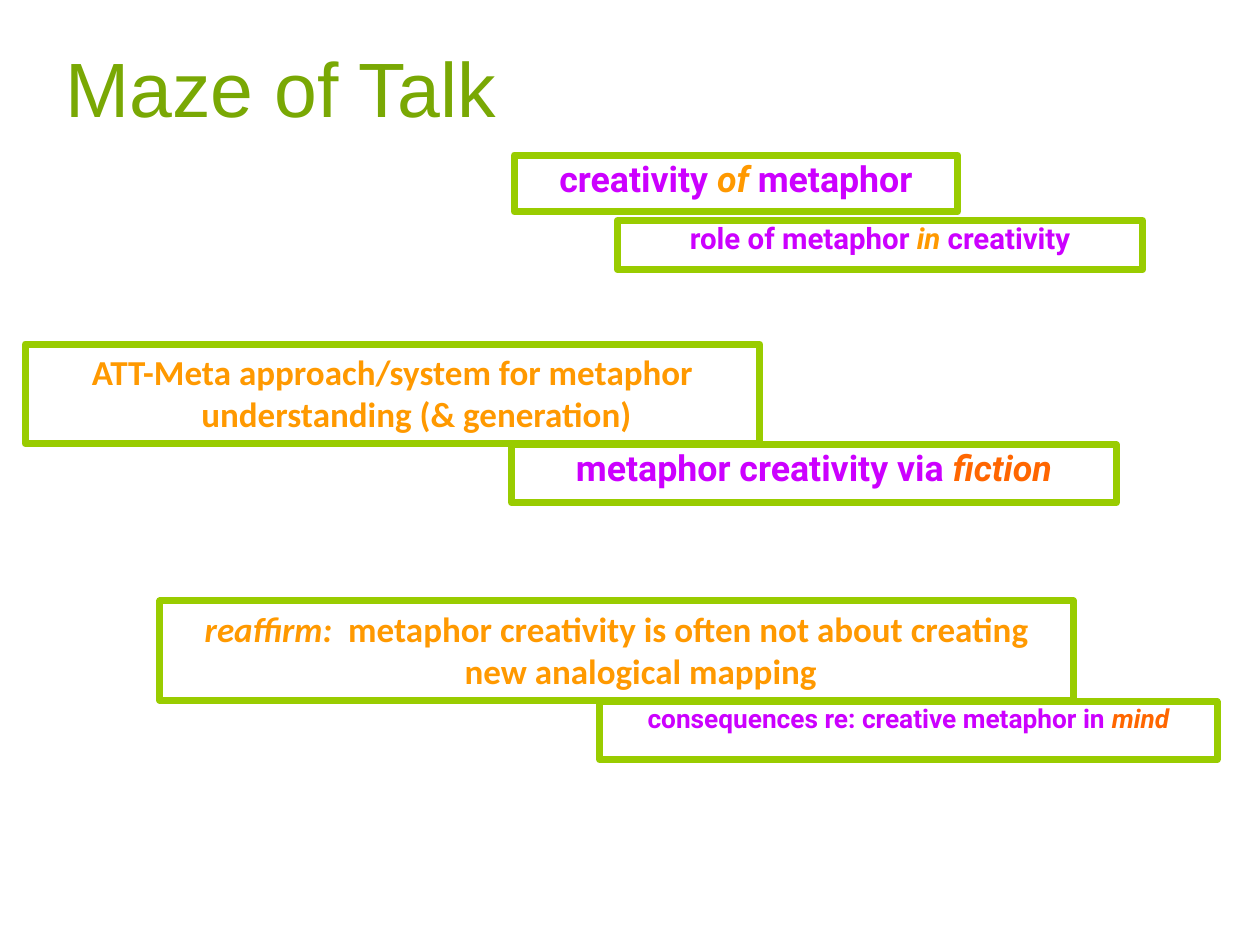
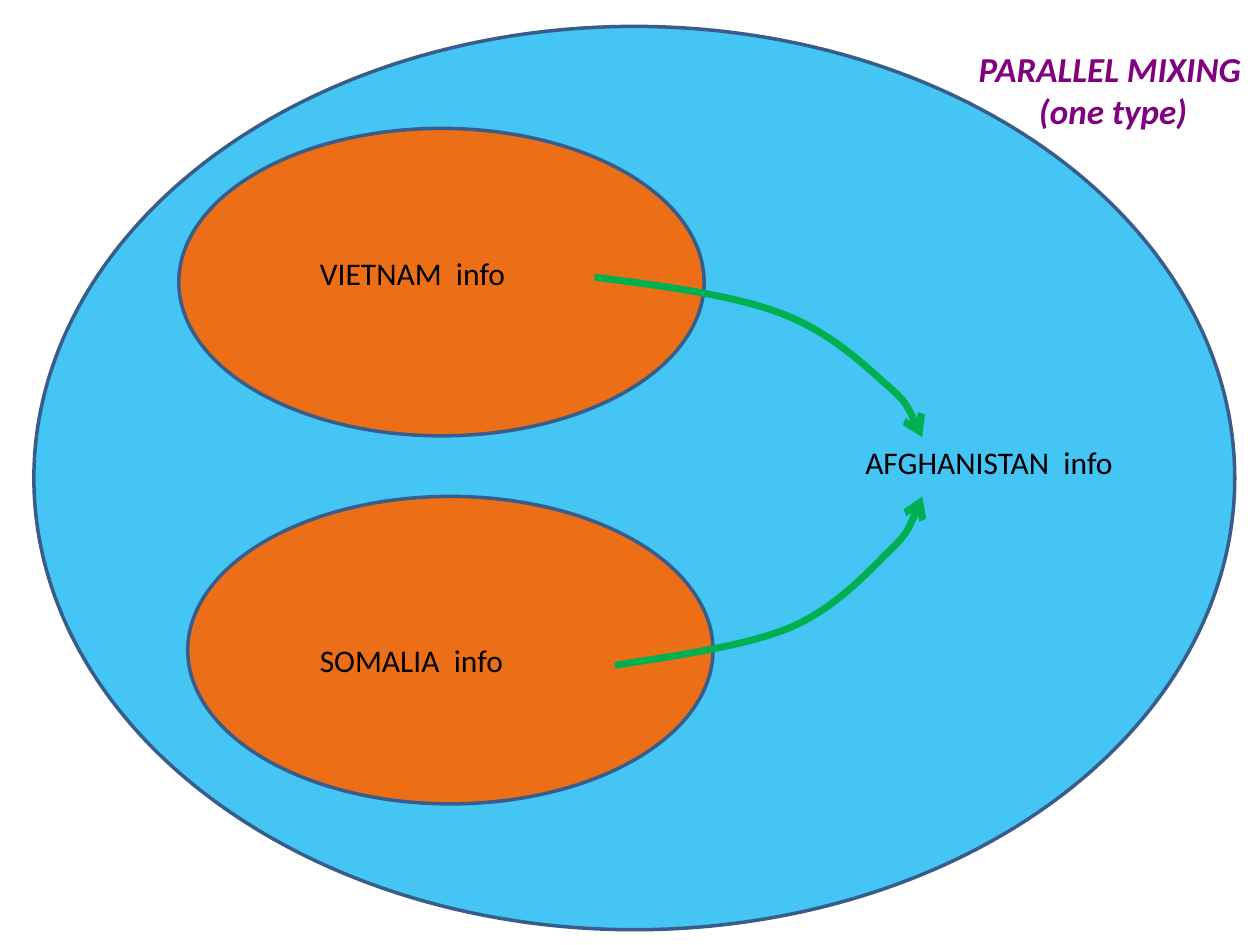
import pptx
import pptx.util
import pptx.dml.color
import pptx.enum.shapes
import pptx.enum.text
import pptx.oxml.ns
import pptx.oxml.xmlchemy
from dataclasses import dataclass

Pt = pptx.util.Pt
qn = pptx.oxml.ns.qn
new_element = pptx.oxml.xmlchemy.OxmlElement
SHAPES = pptx.enum.shapes.MSO_SHAPE
ALIGN = pptx.enum.text.PP_ALIGN
ANCHOR = pptx.enum.text.MSO_ANCHOR


@dataclass(frozen=True)
class Theme:
    title: str = "79A804"
    frame: str = "99CC00"
    violet: str = "CC00FF"
    amber: str = "FF9900"
    orange: str = "FF6600"
    sky: str = "00B0F0"
    outline: str = "385D8A"
    arrow: str = "00B050"
    purple: str = "800080"
    black: str = "000000"
    heading_font: str = "Arial"
    body_font: str = "Calibri"
    topic_font: str = "Roboto"
    title_size: float = 44
    large: float = 20.4
    statement: float = 20
    label: float = 18
    medium: float = 16.8
    small: float = 15
    thick: float = 4
    thin: float = 2
    hanging: float = 27.4


THEME = Theme()

TITLE = ("Maze of Talk", (30.2, 18, 648, 63.4))

TOPIC, STATEMENT = THEME.topic_font, THEME.body_font
MAZE_BOXES = [
    ((293.8, 88.6, 253.4, 32.4), TOPIC, THEME.large, 0.9,
     [("creativity ", THEME.violet, False), ("of ", THEME.amber, True),
      ("metaphor", THEME.violet, False)]),
    ((91.4, 343.4, 522, 56.9), STATEMENT, THEME.statement, 1.0,
     [("reaffirm:", THEME.amber, True),
      ("  metaphor creativity is often not about creating new analogical mapping",
       THEME.amber, False)]),
    ((292.3, 254.2, 345.6, 33.1), TOPIC, THEME.large, 0.9,
     [("metaphor creativity via ", THEME.violet, False),
      ("fiction", THEME.orange, True)]),
    ((352.8, 126, 300.2, 28.1), TOPIC, THEME.medium, 0.8,
     [("role of metaphor ", THEME.violet, False), ("in ", THEME.amber, True),
      ("creativity", THEME.violet, False)]),
    ((14.4, 196.6, 419.8, 56.9), STATEMENT, THEME.statement, 1.0,
     [("ATT-Meta approach/system for metaphor understanding (& generation)",
       THEME.amber, False)]),
    ((342.7, 401, 352.8, 33.1), TOPIC, THEME.small, 0.8,
     [("consequences re: creative metaphor in ", THEME.violet, False),
      ("mind", THEME.orange, True)]),
]

SPACES = [
    ((19.4, 15.1, 686.2, 516.2), THEME.sky, 73),
    ((102.2, 73.4, 300.2, 175.7), THEME.orange, 90),
    ((107.3, 283.7, 300.2, 175.7), THEME.orange, 90),
]
LABELS = [
    ("AFGHANISTAN  info", (487.4, 249.8, 190.1, 28.8)),
    ("VIETNAM  info", (175.7, 141.8, 141.8, 28.8)),
    ("SOMALIA  info", (175.7, 362.9, 141.8, 28.8)),
]
CURVES = [
    [(339.8, 158.4), (378.7, 163.4), (417.6, 168.5), (445, 178.6), (472.3, 188.6),
     (491, 205.9), (504.7, 218.2), (518.4, 229.7), (522.7, 239.8), (527, 249.8)],
    [(351.4, 380.2), (388.1, 374.4), (424.1, 369.4), (450, 359.3), (475.9, 348.5),
     (493.2, 329.8), (506.2, 316.8), (519.1, 304.6), (523.4, 293.8), (527, 283.7)],
]
MIXING = (["PARALLEL MIXING", "(one type)"], (552.2, 23.8, 167.8, 55.4))


def points(values):
    return [Pt(value) for value in values]


def rgb(color):
    return pptx.dml.color.RGBColor.from_string(color)


def set_font(font, name, size, color, bold=False, italic=False):
    font.name, font.size = name, Pt(size)
    font.bold, font.italic = bold, italic
    font.color.rgb = rgb(color)


def set_line(shape, color, width):
    shape.shadow.inherit = False
    shape.line.color.rgb = rgb(color)
    shape.line.width = Pt(width)


def add_text(slide, lines, box, name, size, color, **style):
    frame = slide.shapes.add_textbox(*points(box)).text_frame
    frame.word_wrap = True
    frame.text = "\n".join(lines)
    for paragraph in frame.paragraphs:
        set_font(paragraph.font, name, size, color, **style)
    return frame


def add_maze_box(slide, box, name, size, spacing, runs):
    shape = slide.shapes.add_shape(SHAPES.RECTANGLE, *points(box))
    shape.fill.background()
    set_line(shape, THEME.frame, THEME.thick)
    frame = shape.text_frame
    frame.word_wrap = True
    frame.vertical_anchor = ANCHOR.TOP
    paragraph = frame.paragraphs[0]
    paragraph.alignment = ALIGN.CENTER
    paragraph.line_spacing = spacing
    properties = paragraph._p.get_or_add_pPr()
    properties.set("marL", str(Pt(THEME.hanging)))
    properties.set("indent", str(-Pt(THEME.hanging)))
    for text, color, italic in runs:
        run = paragraph.add_run()
        run.text = text
        set_font(run.font, name, size, color, True, italic)


def add_space(slide, box, color, opacity):
    shape = slide.shapes.add_shape(SHAPES.OVAL, *points(box))
    shape.fill.solid()
    shape.fill.fore_color.rgb = rgb(color)
    set_line(shape, THEME.outline, THEME.thin)
    fill_color = shape._element.spPr.find(qn("a:solidFill"))[0]
    alpha = new_element("a:alpha")
    alpha.set("val", str(opacity * 1000))
    fill_color.append(alpha)


def add_curve(slide, curve):
    start, *rest = [points(point) for point in curve]
    builder = slide.shapes.build_freeform(*start, scale=1.0)
    builder.add_line_segments(rest, close=False)
    shape = builder.convert_to_shape()
    shape.fill.background()
    set_line(shape, THEME.arrow, THEME.thick)
    segments = list(shape._element.iter(qn("a:lnTo")))
    outline = segments[0].getparent()
    for first in range(0, len(segments), 3):
        bezier = new_element("a:cubicBezTo")
        for segment in segments[first:first + 3]:
            bezier.append(segment[0])
            outline.remove(segment)
        outline.append(bezier)
    arrowhead = new_element("a:tailEnd")
    arrowhead.set("type", "arrow")
    shape._element.spPr.find(qn("a:ln")).append(arrowhead)


def build_maze(slide):
    title, box = TITLE
    frame = add_text(slide, [title], box, THEME.heading_font, THEME.title_size, THEME.title)
    frame.vertical_anchor = ANCHOR.MIDDLE
    for maze_box in MAZE_BOXES:
        add_maze_box(slide, *maze_box)


def build_mixing(slide):
    for space in SPACES:
        add_space(slide, *space)
    for label, box in LABELS:
        add_text(slide, [label], box, THEME.body_font, THEME.label, THEME.black)
    for curve in CURVES:
        add_curve(slide, curve)
    lines, box = MIXING
    frame = add_text(slide, lines, box, THEME.body_font, THEME.statement, THEME.purple,
                     bold=True, italic=True)
    frame.paragraphs[1].alignment = ALIGN.CENTER


def main():
    presentation = pptx.Presentation()
    presentation.slide_width, presentation.slide_height = Pt(720), Pt(540)
    for build in (build_maze, build_mixing):
        build(presentation.slides.add_slide(presentation.slide_layouts[6]))
    presentation.save("out.pptx")


if __name__ == "__main__":
    main()
